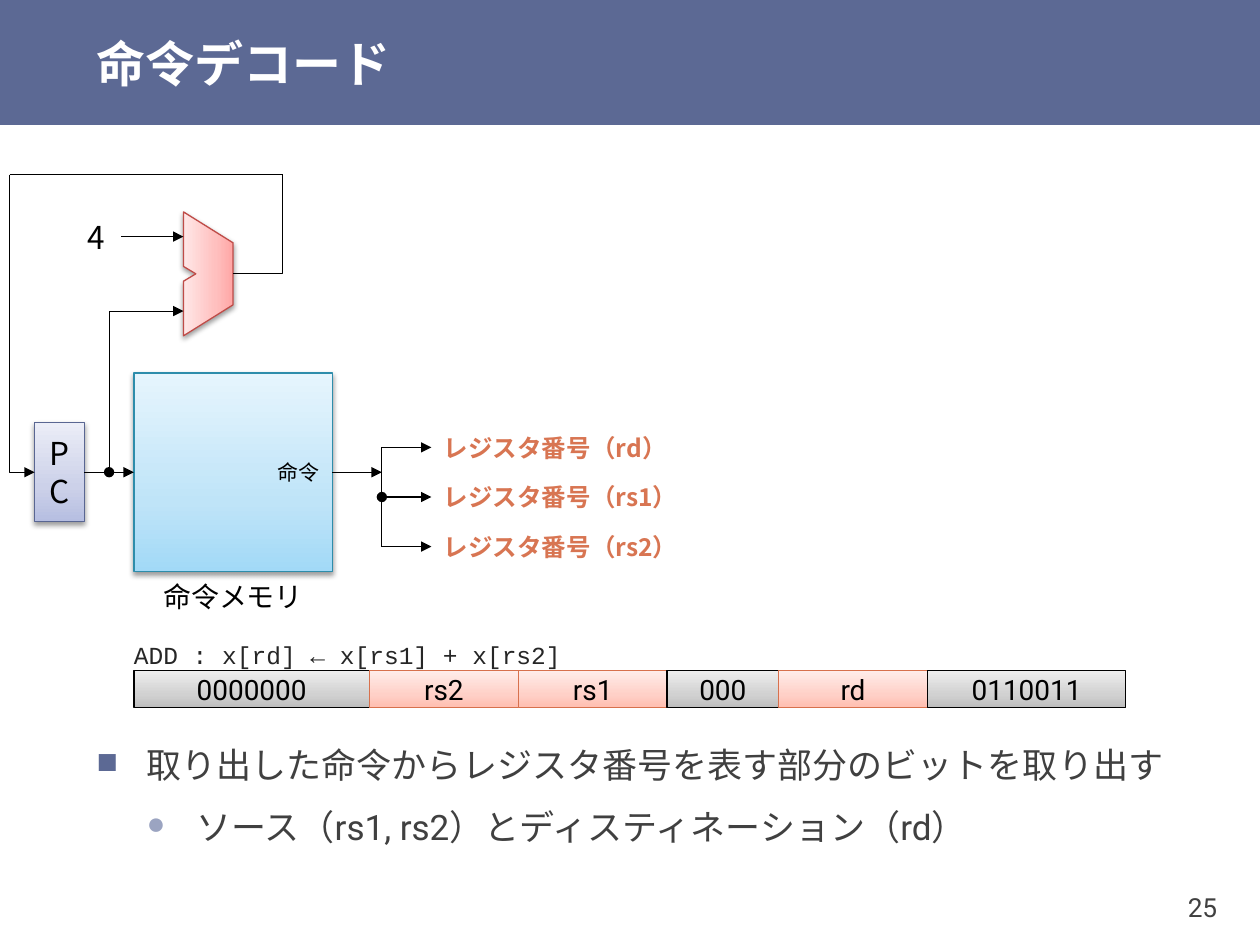
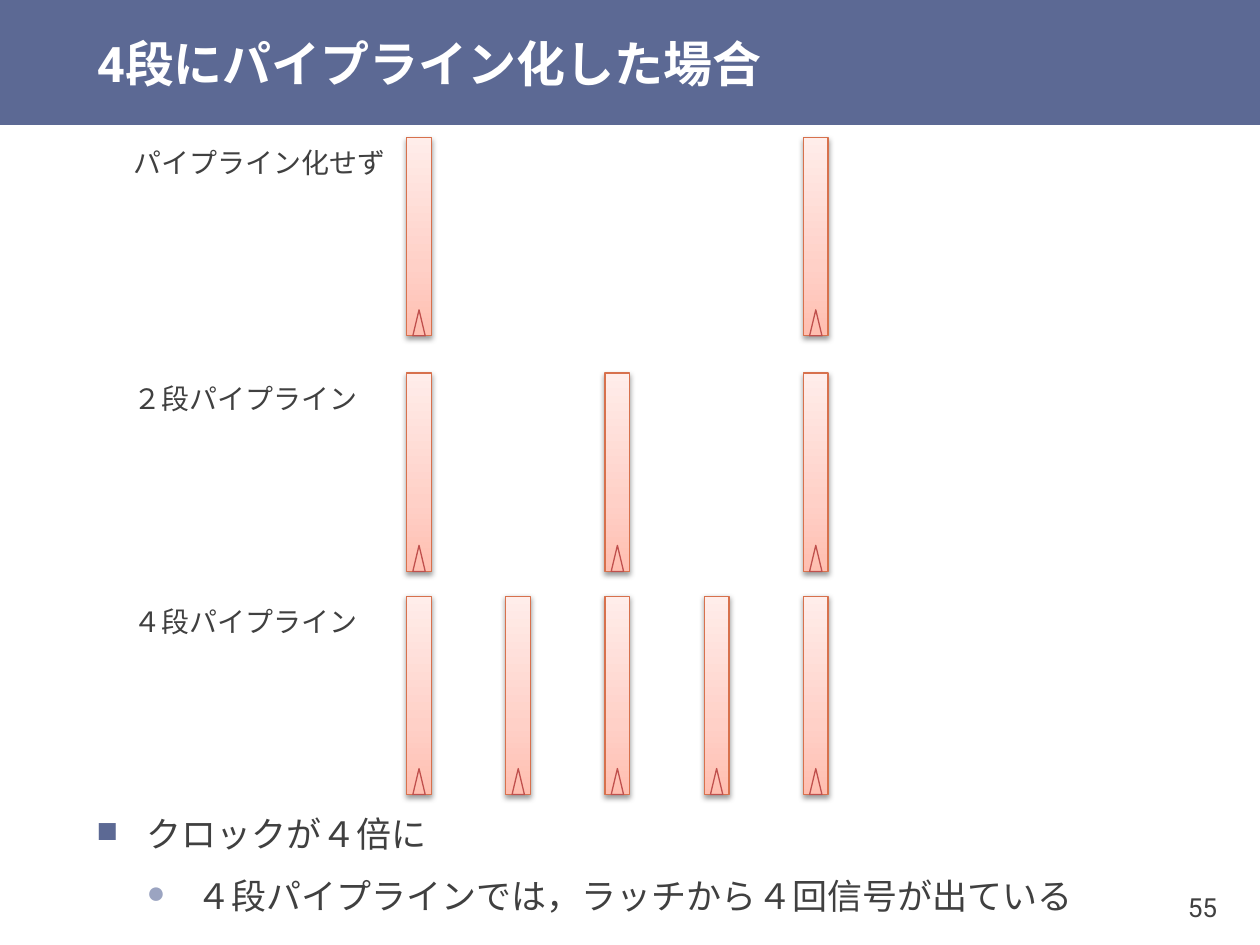
from copy import deepcopy

from lxml.etree import SubElement as Sub
from pptx import Presentation
from pptx.dml.color import RGBColor
from pptx.enum.shapes import MSO_CONNECTOR as LINK, MSO_SHAPE as SHAPE
from pptx.enum.text import MSO_ANCHOR as ANCHOR, MSO_AUTO_SIZE as FIT, PP_ALIGN as ALIGN
from pptx.oxml.ns import qn
from pptx.util import Pt

LATIN, GOTHIC, MONO = "Roboto", "Noto Sans CJK JP", "Courier New"
NAVY, GREY, BLACK, WHITE = "5C6994", "404040", "000000", "FFFFFF"
ORANGE, CODE = "D87552", "262626"
# Each paint: gradient from dark to light, then the outline
BLUE = (("A2D9F7", "BFE4F8", "E6F5FD"), "2E8DAB")
VIOLET = (("B6BEE1", "CCD1E9", "EBEDF7"), "596692")
PINK = (("FFA6A5", "FFC0BF", "FFE7E7"), "BF4C48")
CORAL = (("FFBEB0", "FFD0C7", "FFEDEA"), "D7714D")
SILVER = (("BDBDBD", "D1D1D1", "EEEEEE"), BLACK)
UNIT, LEFT, TOP = 14.17, 5.67, 99.8
BULLETS = (("■", NAVY, 100, 0, 6), ("●", "9BA4C1", 90, 3, 3))


def rgb(code):
    return RGBColor.from_string(code)


def spot(x, y):
    """Turn a grid point into slide lengths."""
    return Pt(LEFT + x * UNIT), Pt(TOP + y * UNIT)


def area(x, y, w, h):
    return *spot(x, y), Pt(w * UNIT), Pt(h * UNIT)


def add_run(para, text, size, color, face=LATIN, bold=False):
    run = para.add_run()
    run.text = text
    font = run.font
    font.size, font.bold, font.name = Pt(size), bold, face
    font.color.rgb = rgb(color)
    Sub(run._r.get_or_add_rPr(), qn("a:ea"), typeface=GOTHIC)


def set_frame(frame, side=7.2, edge=0, wrap=False, anchor=ANCHOR.MIDDLE):
    frame.auto_size = FIT.NONE
    frame.word_wrap = wrap
    frame.vertical_anchor = anchor
    frame.margin_left = frame.margin_right = Pt(side)
    frame.margin_top = frame.margin_bottom = Pt(edge)


def add_label(slide, box, text, size, color=BLACK, face=GOTHIC, align=ALIGN.LEFT,
              bold=False, **frame):
    label = slide.shapes.add_textbox(*box).text_frame
    set_frame(label, **frame)
    para = label.paragraphs[0]
    para.alignment = align
    add_run(para, text, size, color, face, bold)


def paint(shape, look, angle=90, shade=True):
    """Give a shape its gradient, outline and soft shadow."""
    tones, edge = look
    fill = shape.fill
    fill.gradient()
    fill.gradient_angle = angle
    first = shape._element.spPr.find(".//" + qn("a:gs"))
    first.addnext(deepcopy(first))
    for stop, place, tone in zip(fill.gradient_stops, (0, 0.35, 1), tones):
        stop.position = place
        stop.color.rgb = rgb(tone)
    trace(shape, edge)
    shape.shadow.inherit = False
    if shade:
        cast = Sub(shape._element.spPr.find(qn("a:effectLst")), qn("a:outerShdw"),
                   blurRad=str(Pt(3.1)), dist=str(Pt(1.6)), dir="5400000", rotWithShape="0")
        Sub(Sub(cast, qn("a:srgbClr"), val=BLACK), qn("a:alpha"), val="38000")


def trace(shape, color, width=0.75):
    shape.line.color.rgb = rgb(color)
    shape.line.width = Pt(width)


def add_box(slide, box, look, text="", size=18, face=LATIN, wrap=False, shade=True):
    shape = slide.shapes.add_shape(SHAPE.RECTANGLE, *box)
    paint(shape, look, shade=shade)
    if text:
        set_frame(shape.text_frame, wrap=wrap)
        para = shape.text_frame.paragraphs[0]
        para.alignment = ALIGN.CENTER
        add_run(para, text, size, BLACK, face)


def add_path(slide, points, closed=False):
    start, *rest = [spot(*point) for point in points]
    pen = slide.shapes.build_freeform(*start, scale=1.0)
    pen.add_line_segments(rest, close=closed)
    return pen.convert_to_shape()


def add_wire(slide, *points, dot=False, tip=True):
    """Draw a straight or bent wire through grid points."""
    if len(points) == 2:
        wire = slide.shapes.add_connector(LINK.STRAIGHT, *spot(*points[0]), *spot(*points[1]))
        trace(wire, BLACK)
        Sub(wire._element.spPr, qn("a:effectLst"))
    else:
        wire = add_path(slide, points)
        wire.fill.background()
        trace(wire, BLACK, 0.5)
        wire.shadow.inherit = False
    ends = wire.line._get_or_add_ln()
    if dot:
        Sub(ends, qn("a:headEnd"), type="oval")
    if tip:
        Sub(ends, qn("a:tailEnd"), type="triangle")


def add_list(holder, items, anchor):
    frame = holder.text_frame
    set_frame(frame, edge=3.6, wrap=True, anchor=anchor)
    for level, text in enumerate(items):
        para = frame.add_paragraph() if level else frame.paragraphs[0]
        mark, color, scale, before, after = BULLETS[level]
        para.level = level
        para.line_spacing = 1.1
        para.space_before, para.space_after = Pt(before), Pt(after)
        props = para._p.get_or_add_pPr()
        props.set("marL", str(Pt(2 * UNIT * (level + 1))))
        props.set("indent", str(Pt(-2 * UNIT)))
        Sub(Sub(props, qn("a:buClr")), qn("a:srgbClr"), val=color)
        Sub(props, qn("a:buSzPct"), val=str(scale * 1000))
        Sub(props, qn("a:buFont"), typeface=MONO)
        Sub(props, qn("a:buChar"), char=mark)
        add_run(para, text, 20, GREY)


def place(shape, x, y, w, h):
    shape.left, shape.top, shape.width, shape.height = map(Pt, (x, y, w, h))


def add_slide(deck, title, items, top, height, number, anchor=ANCHOR.TOP):
    slide = deck.slides.add_slide(deck.slide_layouts[1])
    band = slide.shapes.add_shape(SHAPE.RECTANGLE, 0, 0, deck.slide_width, Pt(71.4))
    band.fill.solid()
    band.fill.fore_color.rgb = rgb(NAVY)
    band.line.fill.background()
    band.shadow.inherit = False
    slide.shapes._spTree.insert(2, band._element)

    head, body = slide.placeholders
    place(head, 48.2, 0, 671.8, 71.4)
    set_frame(head.text_frame, wrap=True)
    para = head.text_frame.paragraphs[0]
    para.alignment = ALIGN.LEFT
    add_run(para, title, 28, WHITE, bold=True)
    place(body, 48.2, top, 652.3, height)
    add_list(body, items, anchor)
    add_label(slide, map(Pt, (643.7, 496.8, 56.9, 43.2)), number, 15, GREY, LATIN,
              ALIGN.RIGHT, side=5, edge=3)
    return slide


def draw_decode(slide):
    add_box(slide, area(5, 8, 8, 8), BLUE)
    add_box(slide, area(1, 10, 2, 4), VIOLET, "PC", face=GOTHIC, wrap=True)
    adder = add_path(slide, [(7, 1.5), (9, 2.75), (9, 5.25), (7, 6.5),
                             (7, 4.3), (7.5, 4), (7, 3.7)], closed=True)
    paint(adder, PINK, angle=180)

    add_wire(slide, (3, 12), (5, 12))
    add_wire(slide, (4, 12), (4, 5.5), (7, 5.5), dot=True)
    add_wire(slide, (4.5, 2.5), (7, 2.5))
    add_wire(slide, (0, 0), (0, 12), (1, 12))
    add_wire(slide, (9, 4), (11, 4), (11, 0), tip=False)
    add_wire(slide, (0, 0), (11, 0), tip=False)
    add_wire(slide, (13, 12), (15, 12))
    add_wire(slide, (15, 15), (15, 11), (17, 11))
    add_wire(slide, (15, 13), (17, 13), dot=True)
    add_wire(slide, (15, 15), (17, 15))

    add_label(slide, area(2.5, 1.5, 2, 2), "4", 18, align=ALIGN.CENTER, wrap=True)
    add_label(slide, area(11, 11, 2, 2), "命令", 12, align=ALIGN.RIGHT)
    add_label(slide, area(5, 16, 8, 2), "命令メモリ", 16, align=ALIGN.CENTER, side=0)
    for row, name in enumerate(("rd", "rs1", "rs2")):
        add_label(slide, area(17, 10 + 2 * row, 2, 2), f"レジスタ番号（{name}）", 14,
                  ORANGE, bold=True)


def draw_code(slide):
    """Show the bit fields of the ADD instruction."""
    x = 5
    for bits, width, look in (("0000000", 9.5, SILVER), ("rs2", 6, CORAL), ("rs1", 6, CORAL),
                              ("000", 4.5, SILVER), ("rd", 6, CORAL), ("0110011", 8, SILVER)):
        add_box(slide, area(x, 20, width, 1.5), look, bits, 16, shade=False)
        x += width
    add_label(slide, area(4.5, 18.5, 8, 2), "ADD : x[rd] ← x[rs1] + x[rs2]", 14, CODE, MONO,
              edge=3.6, anchor=ANCHOR.TOP)


def add_latch(slide, x, y):
    add_box(slide, area(x, y, 1, 8), CORAL)
    clock = slide.shapes.add_shape(SHAPE.ISOSCELES_TRIANGLE, *area(x + 0.25, y + 6.95, 0.5, 1.05))
    clock.fill.background()
    trace(clock, "C0504D")
    clock.shadow.inherit = False


def draw_stages(slide):
    for text, y, count in (("パイプライン化せず", -1.5, 1), ("２段パイプライン", 8, 2),
                           ("４段パイプライン", 17, 4)):
        add_label(slide, area(5, y, 8, 2), text, 16, GREY, side=0)
        for step in range(count + 1):
            add_latch(slide, 16 + step * 16 / count, y)


def main():
    deck = Presentation()
    deck.slide_width, deck.slide_height = Pt(720), Pt(540)
    decode = add_slide(deck, "命令デコード",
                       ("取り出した命令からレジスタ番号を表す部分のビットを取り出す",
                        "ソース（rs1, rs2）とディスティネーション（rd）"), 419, 106.6, "25")
    draw_decode(decode)
    draw_code(decode)
    stages = add_slide(deck, "4段にパイプライン化した場合",
                       ("クロックが４倍に",
                        "４段パイプラインでは，ラッチから４回信号が出ている"),
                       475.2, 35.3, "55", ANCHOR.MIDDLE)
    draw_stages(stages)
    deck.save("out.pptx")


if __name__ == "__main__":
    main()
